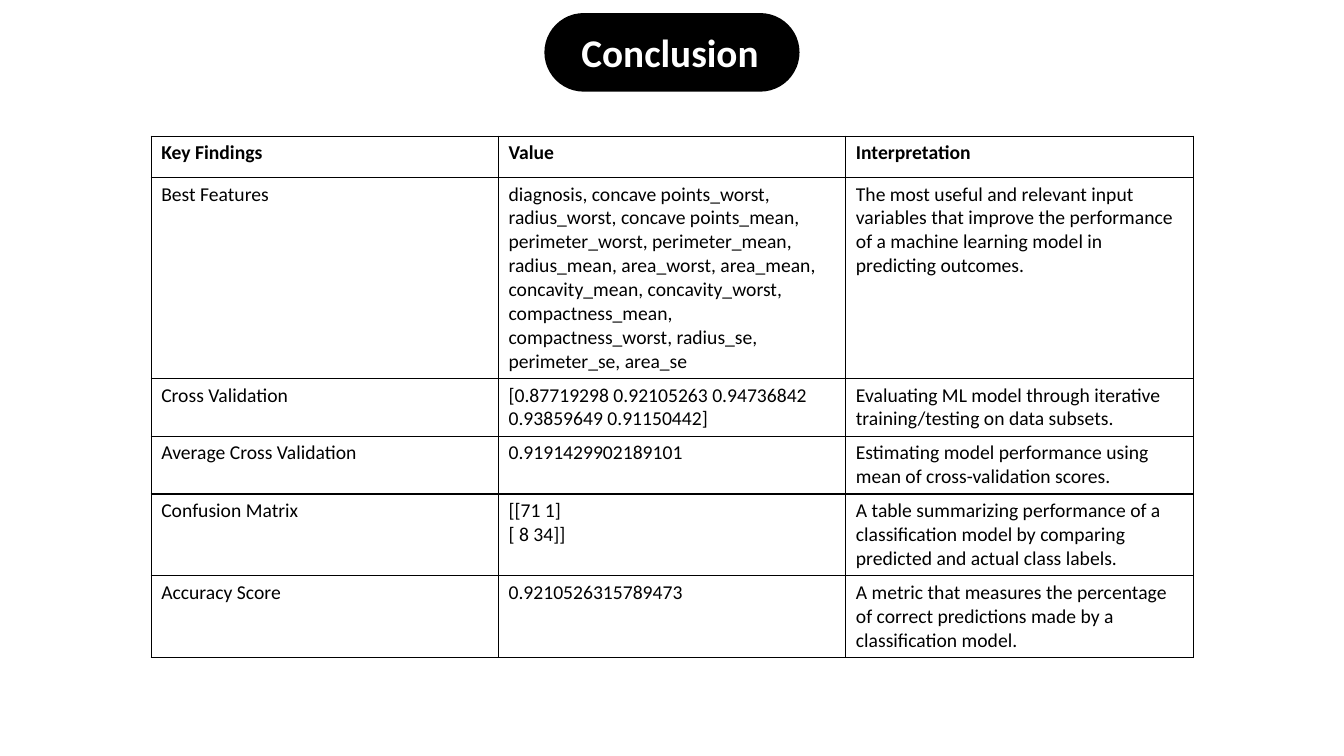
"""Build the conclusion slide with a table of key findings."""
from lxml import etree
from pptx import Presentation
from pptx.dml.color import RGBColor
from pptx.enum import shapes, text
from pptx.oxml import ns
from pptx.util import Cm, Pt

BLACK = RGBColor(0, 0, 0)
WHITE = RGBColor(255, 255, 255)
FONT = "Calibri"
FINDINGS = [
    ("Key Findings", "Value", "Interpretation"),
    ("Best Features",
     "diagnosis, concave points_worst, radius_worst, concave points_mean, "
     "perimeter_worst, perimeter_mean, radius_mean, area_worst, area_mean, "
     "concavity_mean, concavity_worst, compactness_mean, compactness_worst, "
     "radius_se, perimeter_se, area_se",
     "The most useful and relevant input variables that improve the performance "
     "of a machine learning model in predicting outcomes."),
    ("Cross Validation",
     "[0.87719298 0.92105263 0.94736842 0.93859649 0.91150442]",
     "Evaluating ML model through iterative training/testing on data subsets."),
    ("Average Cross Validation",
     "0.9191429902189101",
     "Estimating model performance using mean of cross-validation scores."),
    ("Confusion Matrix",
     "[[71 1]\n[ 8 34]]",
     "A table summarizing performance of a classification model by comparing "
     "predicted and actual class labels."),
    ("Accuracy Score",
     "0.9210526315789473",
     "A metric that measures the percentage of correct predictions made by a "
     "classification model."),
]
ROW_HEIGHTS = [1.04, 1.35, 1.04, 1.04, 1.04, 1.04]


def style_font(paragraph, size, color, bold):
    paragraph.font.name = FONT
    paragraph.font.size = Pt(size)
    paragraph.font.color.rgb = color
    paragraph.font.bold = bold


def add_borders(cell):
    properties = cell._tc.get_or_add_tcPr()
    for side in ("lnL", "lnR", "lnT", "lnB"):
        line = etree.SubElement(properties, ns.qn(f"a:{side}"), w=str(Pt(1)))
        fill = etree.SubElement(line, ns.qn("a:solidFill"))
        etree.SubElement(fill, ns.qn("a:srgbClr"), val=str(BLACK))


presentation = Presentation()
presentation.slide_width = Cm(33.87)
presentation.slide_height = Cm(19.05)
slide = presentation.slides.add_slide(presentation.slide_layouts[5])

title = slide.shapes.title
title.left, title.top, title.width, title.height = Cm(14.4), Cm(0.46), Cm(5.08), Cm(1.85)
title.text_frame.text = "Conclusion"
title.text_frame.auto_size = text.MSO_AUTO_SIZE.NONE
title.text_frame.vertical_anchor = text.MSO_ANCHOR.MIDDLE
heading = title.text_frame.paragraphs[0]
heading.alignment = text.PP_ALIGN.LEFT
heading.line_spacing = 0.9
style_font(heading, 28, WHITE, True)

pill = slide.shapes.add_shape(
    shapes.MSO_SHAPE.ROUNDED_RECTANGLE, Cm(13.72), Cm(0.33), Cm(6.43), Cm(1.98))
pill.adjustments[0] = 0.5
pill.shadow.inherit = False
pill.fill.solid()
pill.fill.fore_color.rgb = BLACK
pill.line.fill.background()
title.element.addprevious(pill.element)

table = slide.shapes.add_table(
    len(FINDINGS), 3, Cm(3.81), Cm(3.43), Cm(26.26), Cm(sum(ROW_HEIGHTS))).table
table.first_row = True
table.horz_banding = False
for row, height, entries in zip(table.rows, ROW_HEIGHTS, FINDINGS):
    row.height = Cm(height)
    for cell, entry in zip(row.cells, entries):
        cell.text = entry
        add_borders(cell)
        cell.fill.solid()
        cell.fill.fore_color.rgb = WHITE
        for paragraph in cell.text_frame.paragraphs:
            style_font(paragraph, 14, BLACK, entries is FINDINGS[0])

presentation.save("out.pptx")
